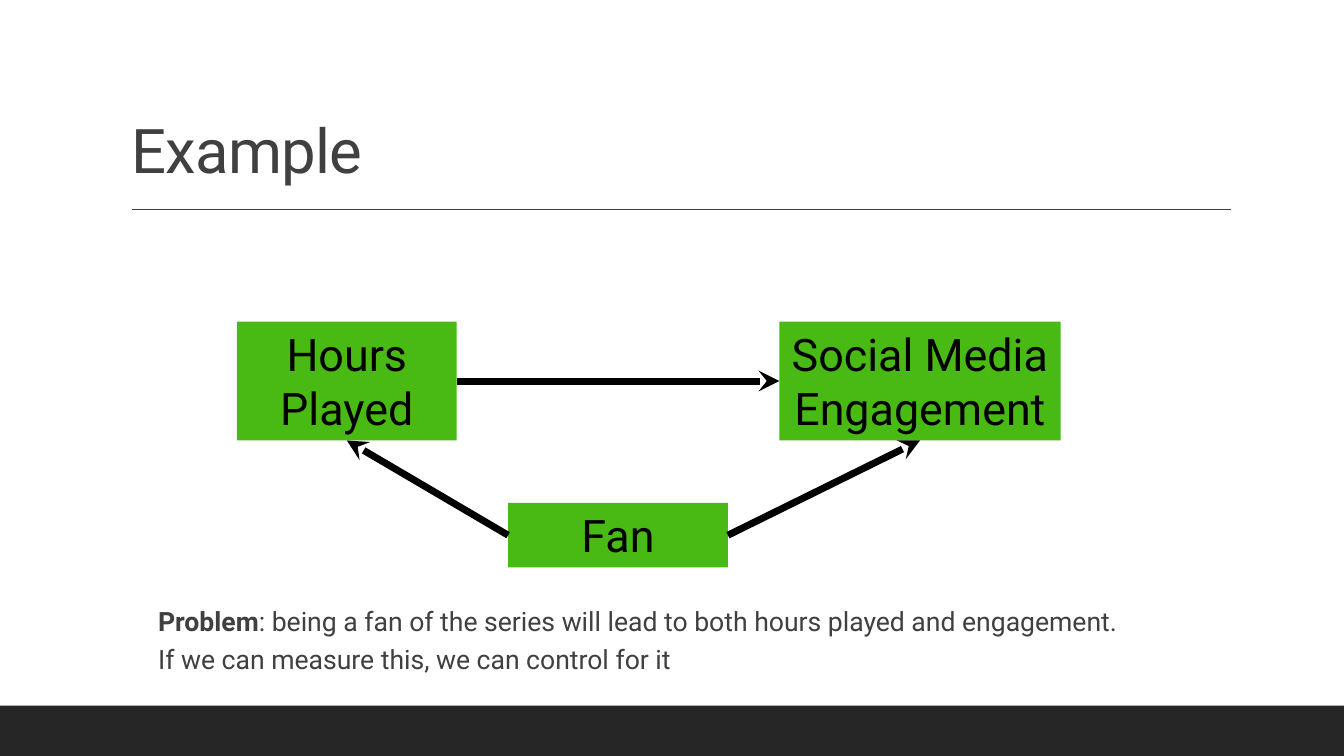
import pptx
import pptx.util
import pptx.dml.color
import pptx.enum.shapes
import pptx.enum.text
import pptx.oxml.ns
import lxml.etree

# Content: lengths in px, 100 px to the inch
SIZE = (1333, 750)
TITLE = ("Example", (120, 31, 1100, 159))
BOXES = {
    "hours": ("Hours Played", (235, 319, 218, 118)),
    "media": ("Social Media Engagement", (773, 319, 279, 118)),
    "fan": ("Fan", (504, 499, 218, 64)),
}
TOP, LEFT, BOTTOM, RIGHT = range(4)  # connection sites of a rectangle
ARROWS = [
    ("hours", RIGHT, "media", LEFT),
    ("fan", LEFT, "hours", BOTTOM),
    ("fan", RIGHT, "media", BOTTOM),
]
NOTE = (
    "Problem",
    ": being a fan of the series will lead to both hours played and engagement.",
    "If we can measure this, we can control for it",
)
NOTE_AT = (147, 589, 1130, 95)
INDENT = 10
BAND = (0, 700, 1333, 50)
RULE = (131, 208, 1221, 208)


class Theme:
    font = "Roboto"
    dark, grey, green, black = "262626", "404040", "49BA14", "000000"
    title, label, note = 44, 32, 19
    thin, thick = 1, 5


def px(*nums):
    return [pptx.util.Inches(n / 100) for n in nums]


def rgb(code):
    return pptx.dml.color.RGBColor.from_string(code)


def style(para, size, color):
    para.font.name = Theme.font
    para.font.size = pptx.util.Pt(size)
    para.font.color.rgb = rgb(color)


def add_rect(at, color):
    kind = pptx.enum.shapes.MSO_SHAPE.RECTANGLE
    rect = slide.shapes.add_shape(kind, *px(*at))
    rect.shadow.inherit = False
    rect.fill.solid()
    rect.fill.fore_color.rgb = rgb(color)
    rect.line.fill.background()
    return rect


def add_line(ends, color, width):
    kind = pptx.enum.shapes.MSO_CONNECTOR.STRAIGHT
    line = slide.shapes.add_connector(kind, *px(*ends))
    line.line.color.rgb = rgb(color)
    line.line.width = pptx.util.Pt(width)
    props = line._element.spPr
    lxml.etree.SubElement(props, pptx.oxml.ns.qn("a:effectLst"))
    return line


deck = pptx.Presentation()
deck.slide_width, deck.slide_height = px(*SIZE)
slide = deck.slides.add_slide(deck.slide_layouts[5])
align = pptx.enum.text.PP_ALIGN
anchor = pptx.enum.text.MSO_ANCHOR
fit = pptx.enum.text.MSO_AUTO_SIZE

# Band and rule
add_rect(BAND, Theme.dark)
add_line(RULE, Theme.grey, Theme.thin)

# Title
title = slide.shapes.title
title.left, title.top, title.width, title.height = px(*TITLE[1])
frame = title.text_frame
frame.text = TITLE[0]
frame.auto_size = fit.NONE
frame.vertical_anchor = anchor.BOTTOM
para = frame.paragraphs[0]
para.alignment = align.LEFT
para.line_spacing = 0.9
style(para, Theme.title, Theme.grey)
para.runs[0].font._element.set("spc", "-50")

# Boxes
shapes = {}
for key, (text, at) in BOXES.items():
    box = shapes[key] = add_rect(at, Theme.green)
    frame = box.text_frame
    frame.text = text
    frame.word_wrap = True
    frame.auto_size = fit.SHAPE_TO_FIT_TEXT
    frame.vertical_anchor = anchor.TOP
    para = frame.paragraphs[0]
    para.alignment = align.CENTER
    style(para, Theme.label, Theme.black)

# Arrows
for start, out, end, into in ARROWS:
    arrow = add_line((0, 0, 0, 0), Theme.black, Theme.thick)
    arrow.begin_connect(shapes[start], out)
    arrow.end_connect(shapes[end], into)
    stroke = arrow.line._get_or_add_ln()
    lxml.etree.SubElement(stroke, pptx.oxml.ns.qn("a:tailEnd"), type="stealth")

# Note
frame = slide.shapes.add_textbox(*px(*NOTE_AT)).text_frame
frame.word_wrap = True
frame.margin_left, frame.margin_right = px(INDENT, 0)
para = frame.paragraphs[0]
para.line_spacing = 1.2
lead, rest, last = NOTE
run = para.add_run()
run.text = lead
run.font.bold = True
para.add_run().text = rest
para.add_line_break()
para.add_run().text = last
style(para, Theme.note, Theme.grey)

deck.save("out.pptx")
